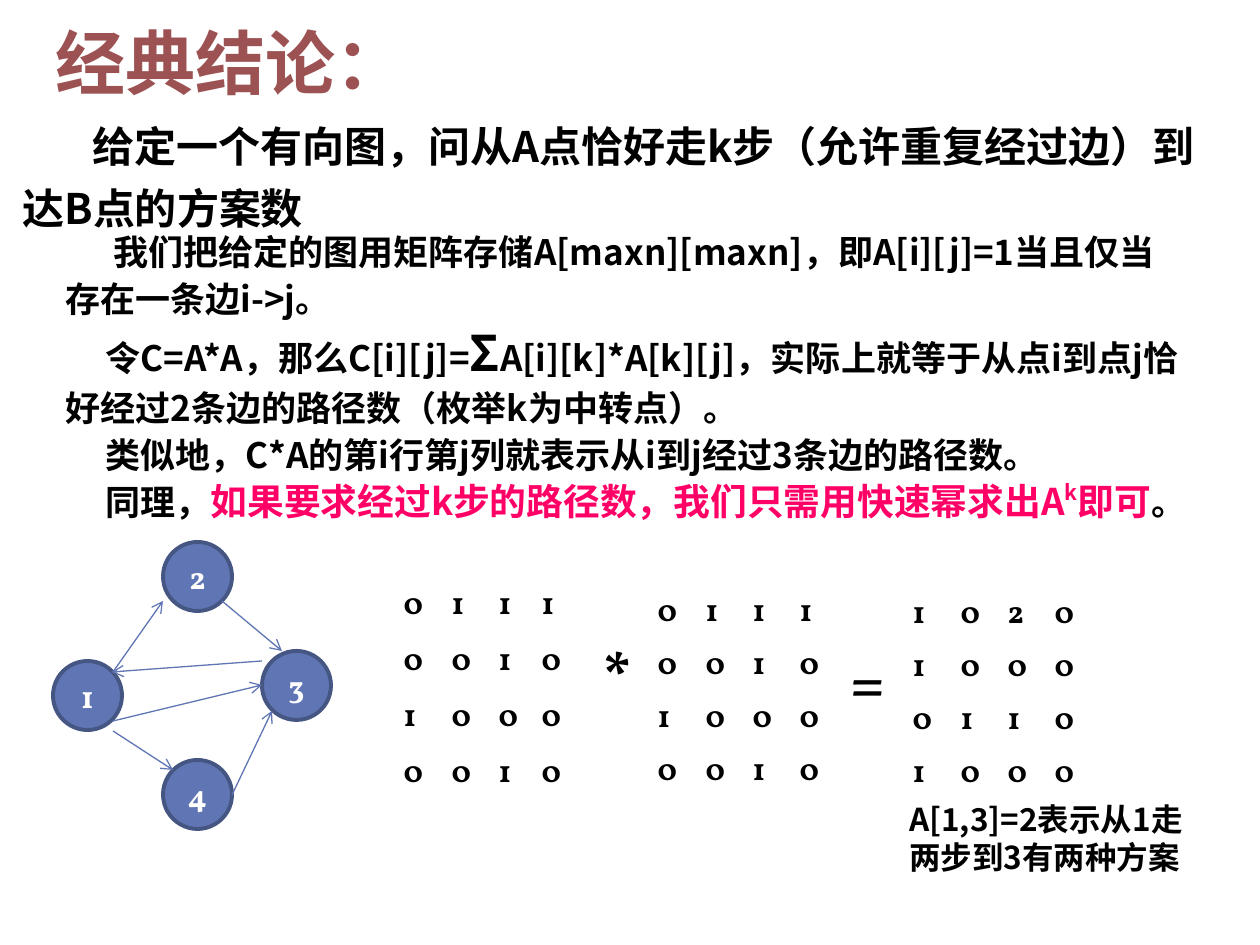
from dataclasses import dataclass

from lxml import etree
from pptx import Presentation
from pptx import util as u
from pptx.dml.color import RGBColor
from pptx.enum import shapes, text
from pptx.oxml.ns import qn

PX = 914400 // 126


@dataclass(frozen=True)
class Theme:
    ink: str = "000000"
    title: str = "9C5252"
    accent: str = "FF0066"
    node: str = "6076B4"
    node_line: str = "465683"
    white: str = "FFFFFF"
    cjk: str = "Noto Sans CJK SC"
    latin: str = "Vollkorn"
    heading: str = "Arial"
    title_size: int = 40
    operator_size: int = 36
    sigma_size: int = 28
    intro_size: int = 24
    key_size: int = 21
    body_size: int = 20
    small_size: int = 18


THEME = Theme()

# Content: paragraphs are lists of (words, format changes)
TITLE = [("经典结论：", {})]
INTRO = [("给定一个有向图，问从A点恰好走k步（允许重复经过边）到达B点的方案数", {})]
KEY = {"size": THEME.key_size, "color": THEME.accent}
BODY = [
    # first-line indent px, space before pt, spans
    (48, 0, [("我们把给定的图用矩阵存储A[maxn][maxn]，即A[i][j]=1当且仅当存在一条边i->j。", {})]),
    (40, 8, [("令C=A*A，那么C[i][j]=", {}),
             ("Σ", {"size": THEME.sigma_size}),
             ("A[i][k]*A[k][j]，实际上就等于从点i到点j恰好经过2条边的路径数（枚举k为中转点）。", {})]),
    (40, 0, [("类似地，C*A的第i行第j列就表示从i到j经过3条边的路径数。", {})]),
    (40, 0, [("同理，", {}),
             ("如果要求经过k步的路径数，我们只需用快速幂求出A", KEY),
             ("k", {**KEY, "raised": "40000"}),
             ("即可", KEY),
             ("。", {})]),
]
CAPTION = [("A[1,3]=2表示从1走两步到3有两种方案", {})]

NODE_SIZE = 69
NODES = {"1": (53, 661), "2": (163, 542), "3": (262, 651), "4": (163, 760)}
EDGES = [
    (113, 672, 163, 601), (222, 601, 282, 651), (262, 661, 112, 672),
    (113, 721, 262, 685), (113, 731, 173, 770), (232, 795, 272, 711),
]

# left, top, row height, column widths, rows of digits
GRAPH = ["0111", "0010", "1000", "0010"]
SQUARE = ["1020", "1000", "0110", "1000"]
EVEN_COLUMNS = (48, 47, 47, 47)
MATRICES = [
    (391, 578, 56, (48, 47, 43, 51), GRAPH),
    (645, 585, 53, EVEN_COLUMNS, GRAPH),
    (900, 587, 53, EVEN_COLUMNS, SQUARE),
]
OPERATORS = [("*", 590, 631), ("=", 838, 635)]


def px(*lengths):
    return [length * PX for length in lengths]


def set_all(target, values):
    for name, value in values.items():
        setattr(target, name, value)


def add_span(para, words, face, size, color=THEME.ink, raised=None):
    span = para.add_run()
    span.text = words
    set_all(span.font, {"name": face, "size": u.Pt(size), "bold": True})
    span.font.color.rgb = RGBColor.from_string(color)
    props = span._r.get_or_add_rPr()
    etree.SubElement(props, qn("a:ea")).set("typeface", face)
    if raised:
        props.set("baseline", raised)


def fill_para(para, spans, face, size, indent=0, **layout):
    set_all(para, layout)
    if indent:
        para._p.get_or_add_pPr().set("indent", str(indent * PX))
    for words, changes in spans:
        add_span(para, words, **{"face": face, "size": size, **changes})


def add_box(page, left, top, width, height, **frame_values):
    frame = page.shapes.add_textbox(*px(left, top, width, height)).text_frame
    set_all(frame, {"word_wrap": True, **frame_values})
    return frame


def add_node(page, label, left, top):
    node = page.shapes.add_shape(
        shapes.MSO_SHAPE.OVAL, *px(left, top, NODE_SIZE, NODE_SIZE))
    node.shadow.inherit = False
    node.fill.solid()
    node.fill.fore_color.rgb = RGBColor.from_string(THEME.node)
    node.line.color.rgb = RGBColor.from_string(THEME.node_line)
    node.line.width = u.Pt(2.25)
    node.text_frame.vertical_anchor = text.MSO_ANCHOR.MIDDLE
    fill_para(node.text_frame.paragraphs[0], [(label, {"color": THEME.white})],
              THEME.latin, THEME.small_size, alignment=text.PP_ALIGN.CENTER)


def add_edge(page, ends):
    edge = page.shapes.add_connector(shapes.MSO_CONNECTOR.STRAIGHT, *px(*ends))
    edge.line.color.rgb = RGBColor.from_string(THEME.node)
    edge.line.width = u.Pt(0.75)
    etree.SubElement(edge.line._get_or_add_ln(), qn("a:tailEnd")).set("type", "arrow")
    etree.SubElement(edge._element.spPr, qn("a:effectLst"))


def add_matrix(page, left, top, row_height, widths, rows):
    size = px(left, top, sum(widths), row_height * len(rows))
    table = page.shapes.add_table(len(rows), len(widths), *size).table
    set_all(table, {"first_row": False, "horz_banding": False})
    # "No Style, No Grid"
    table._tbl.tblPr.find(qn("a:tableStyleId")).text = "{2D5ABB26-0587-4C30-8999-92F81FD0307C}"
    for column, width in zip(table.columns, widths):
        column.width = width * PX
    for row, digits in zip(table.rows, rows):
        row.height = row_height * PX
        for cell, digit in zip(row.cells, digits):
            cell.fill.background()
            set_all(cell, {"margin_right": 0, "margin_bottom": 0})
            fill_para(cell.text_frame.paragraphs[0], [(digit, {})],
                      THEME.latin, THEME.small_size)


def main():
    deck = Presentation()
    set_all(deck, {"slide_width": 1260 * PX, "slide_height": 945 * PX})
    page = deck.slides.add_slide(deck.slide_layouts[6])

    # Question and title
    intro = add_box(page, 10, 110, 1225, 500, margin_top=0)
    fill_para(intro.paragraphs[0], INTRO, THEME.cjk, THEME.intro_size,
              indent=70, line_spacing=u.Pt(35))
    title = add_box(page, 43, -6, 1134, 116, vertical_anchor=text.MSO_ANCHOR.BOTTOM)
    fill_para(title.paragraphs[0], [(TITLE[0][0], {"color": THEME.title})],
              THEME.heading, THEME.title_size, line_spacing=u.Pt(58))

    # Directed graph
    for label, place in NODES.items():
        add_node(page, label, *place)
    for ends in EDGES:
        add_edge(page, ends)

    # Matrix product
    for matrix in MATRICES:
        add_matrix(page, *matrix)
    for sign, left, top in OPERATORS:
        box = add_box(page, left, top, 59, 88)
        fill_para(box.paragraphs[0], [(sign, {})], THEME.latin, THEME.operator_size)
    caption = add_box(page, 897, 793, 318, 88)
    fill_para(caption.paragraphs[0], CAPTION, THEME.cjk, THEME.small_size,
              line_spacing=u.Pt(22))

    # Explanation
    body = add_box(page, 53, 219, 1139, 406)
    for number, (indent, before, spans) in enumerate(BODY):
        para = body.add_paragraph() if number else body.paragraphs[0]
        fill_para(para, spans, THEME.cjk, THEME.body_size, indent=indent,
                  line_spacing=u.Pt(27), space_before=u.Pt(before))

    deck.save("out.pptx")


if __name__ == "__main__":
    main()
